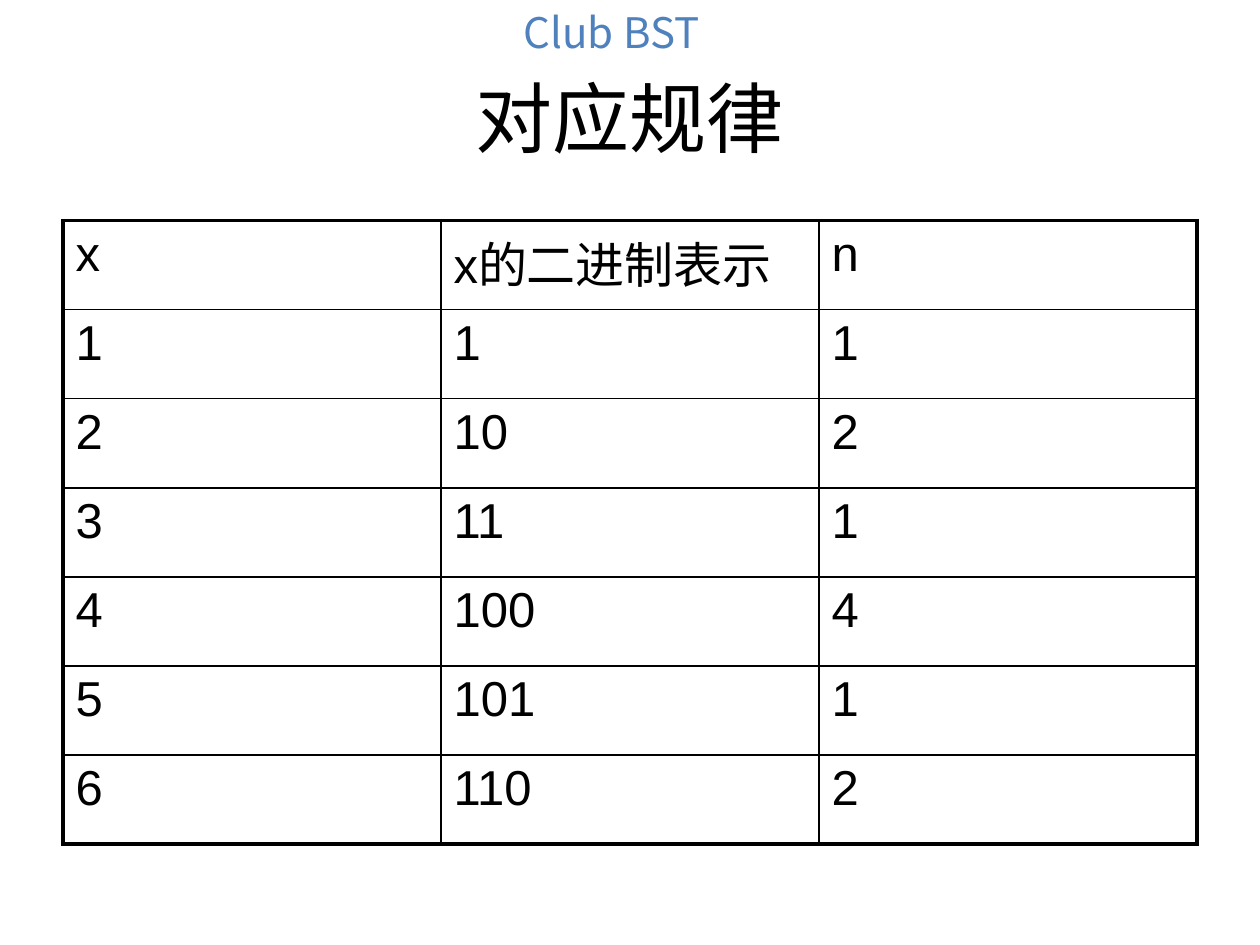
"""Build the slide that lists x, its binary form and n in a ruled table."""
from lxml import etree
from pptx import Presentation
from pptx.dml.color import RGBColor
from pptx.enum.text import MSO_ANCHOR, PP_ALIGN
from pptx.oxml.ns import qn
from pptx.util import Inches, Pt

CENTER = PP_ALIGN.CENTER
MIDDLE = MSO_ANCHOR.MIDDLE
COLORS = {"text": "000000", "header": "4F81BD", "rule": "000000", "page": "FFFFFF"}
OUTER, INNER = 2.25, 1


def add_run(paragraph, text, size, color, latin, east_asian):
    run = paragraph.add_run()
    run.text = text
    run.font.size = Pt(size)
    run.font.name = latin
    run.font.color.rgb = RGBColor.from_string(COLORS[color])
    etree.SubElement(run._r.get_or_add_rPr(), qn("a:ea"), typeface=east_asian)


def add_border(cell, position, side, width):
    line = etree.Element(qn(f"a:ln{side}"), w=str(Pt(width)))
    fill = etree.SubElement(line, qn("a:solidFill"))
    etree.SubElement(fill, qn("a:srgbClr"), val=COLORS["rule"])
    cell._tc.get_or_add_tcPr().insert(position, line)


prs = Presentation()
prs.slide_width, prs.slide_height = Inches(10), Inches(7.5)
slide = prs.slides.add_slide(prs.slide_layouts[6])
slide.background.fill.solid()
slide.background.fill.fore_color.rgb = RGBColor.from_string(COLORS["page"])

headings = [
    ("Club BST", (3.94, 0, 1.83, 0.5), 24, "header", "Noto Sans CJK SC"),
    ("对应规律", (0.5, 0.3, 9, 1.25), 44, "text", "Noto Sans CJK JP"),
]
for text, place, size, color, font in headings:
    heading = slide.shapes.add_textbox(*map(Inches, place)).text_frame
    heading.word_wrap = True
    heading.vertical_anchor = MIDDLE
    heading.paragraphs[0].alignment = CENTER
    add_run(heading.paragraphs[0], text, size, color, font, font)

rows = [
    ("x", "x的二进制表示", "n"),
    ("1", "1", "1"),
    ("2", "10", "2"),
    ("3", "11", "1"),
    ("4", "100", "4"),
    ("5", "101", "1"),
    ("6", "110", "2"),
]
last_row, last_column = len(rows) - 1, len(rows[0]) - 1
rules = slide.shapes.add_table(
    len(rows), len(rows[0]), Inches(0.5), Inches(1.75), Inches(9), Inches(4.95)
).table
rules.first_row = rules.horz_banding = False
for column in rules.columns:
    column.width = Inches(3)

for r, values in enumerate(rows):
    rules.rows[r].height = Inches(4.95 / len(rows))
    for c, value in enumerate(values):
        cell = rules.cell(r, c)
        cell.fill.background()
        edges = {"L": c == 0, "R": c == last_column, "T": r == 0, "B": r == last_row}
        for position, (side, is_outer) in enumerate(edges.items()):
            add_border(cell, position, side, OUTER if is_outer else INNER)
        paragraph = cell.text_frame.paragraphs[0]
        space_before = etree.SubElement(paragraph._p.get_or_add_pPr(), qn("a:spcBef"))
        etree.SubElement(space_before, qn("a:spcPct"), val="20000")
        add_run(paragraph, value, 28, "text", "Arial", "Noto Sans CJK SC")

prs.save("out.pptx")
